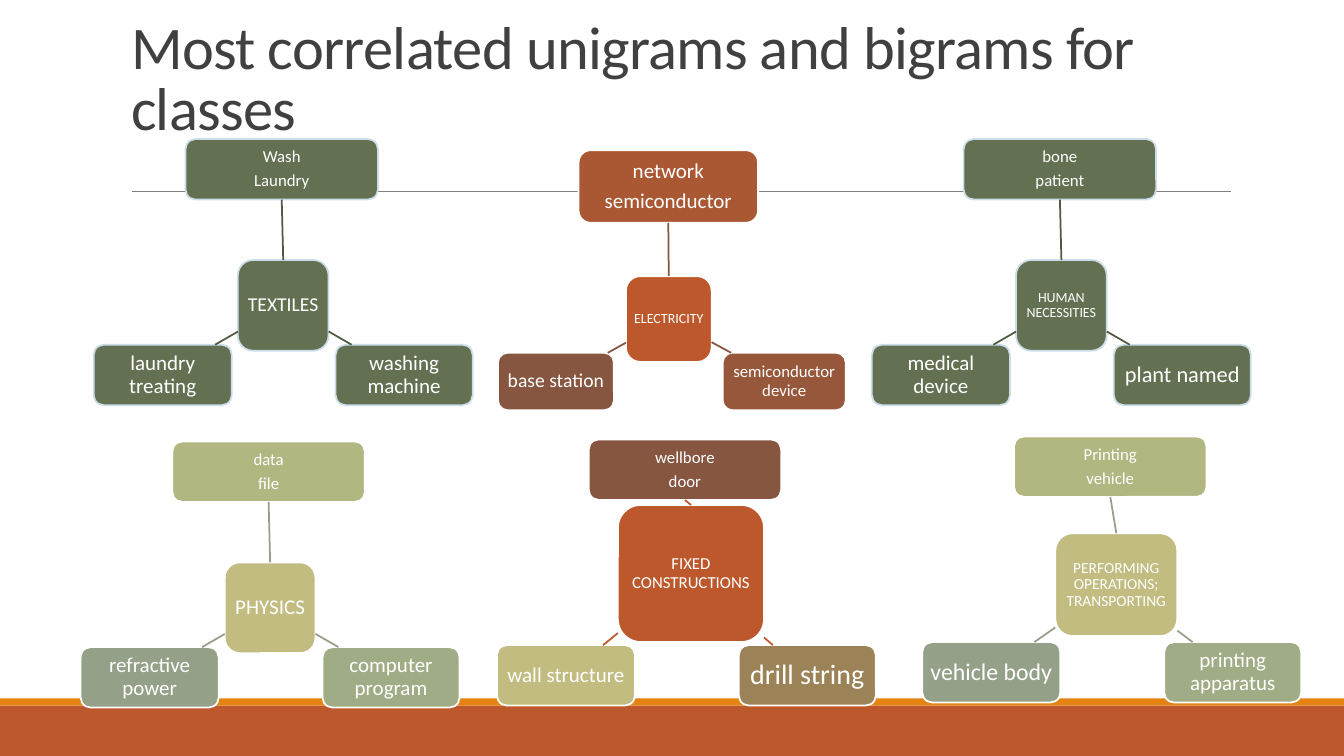
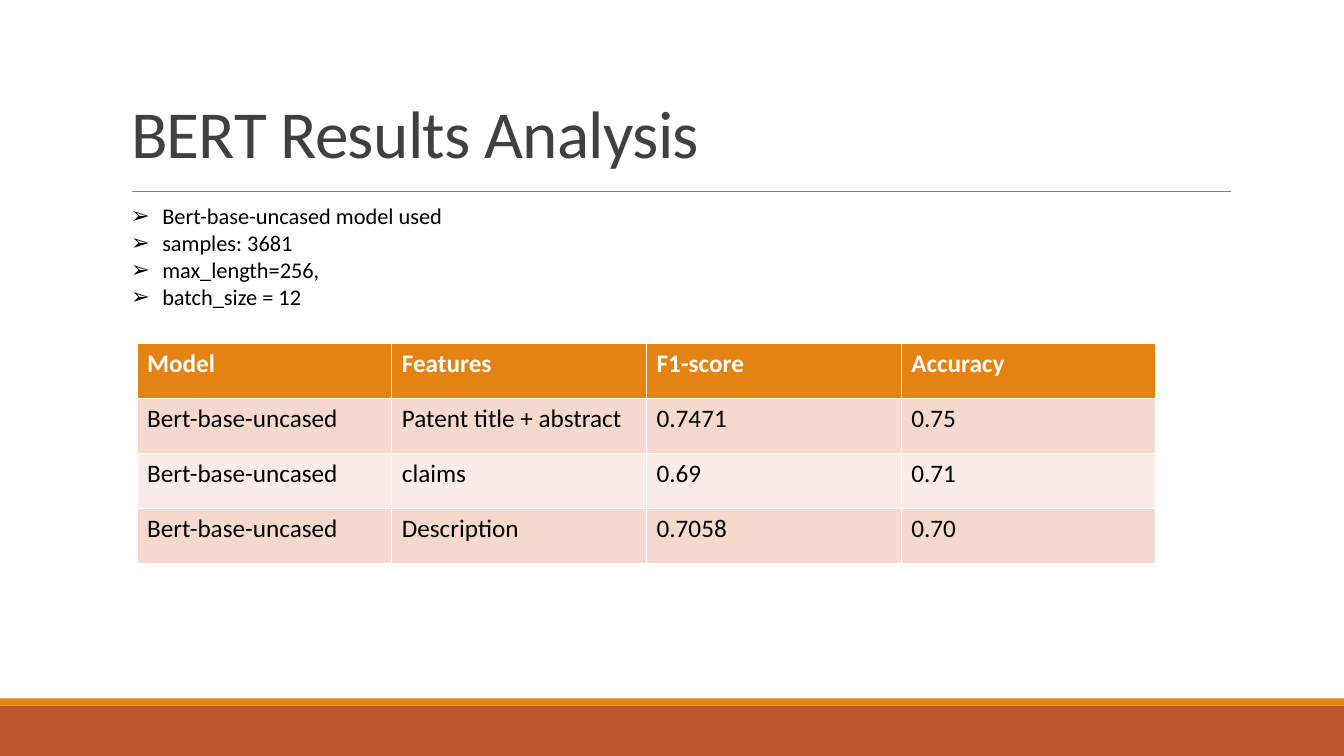
"""Build two slides: class keyword trees and a table of BERT results."""
from lxml.etree import SubElement
from pptx import Presentation
from pptx.dml.color import RGBColor
from pptx.enum.shapes import MSO_CONNECTOR as Link, MSO_SHAPE as Preset
from pptx.enum.text import MSO_ANCHOR as Anchor, MSO_AUTO_SIZE as AutoSize, PP_ALIGN as Align
from pptx.oxml.ns import qn
from pptx.util import Pt

PX = 9144
FONT = "Calibri"
COLORS = {
    "rust": "BD582C", "orange": "E48312", "rule": "808080", "title": "404040",
    "white": "FFFFFF", "black": "000000", "ice": "CCDDEA",
    "moss": "637052", "dark moss": "4F5A42", "brick": "AA5834", "clay": "97573A",
    "brown": "865640", "khaki": "C2BC80", "olive": "B2B782", "fern": "A0AC85",
    "sage": "94A088", "bronze": "9B8357", "peach": "F5D9CC", "blush": "FAEDE7",
}

BANDS = [((0, 700, 1334, 50), "rust"), ((0, 693, 1334, 7), "orange")]
RULE = (131, 190, 1221, 190)

WIDE = {"unigrams": (91, 0, 191, 60), "left": (0, 204, 137, 60), "right": (240, 204, 136, 60)}
SLIM = {"unigrams": (80, 0, 178, 72), "left": (0, 201, 115, 57), "right": (223, 201, 122, 57)}

TREES = [
    {"origin": (93, 138), "frame": WIDE, "class_box": (143, 120, 90, 90),
     "edge": "ice", "branch": "dark moss",
     "class": ("TEXTILES", 14, "moss"), "unigrams": ("Wash\nLaundry", 12, "moss"),
     "left": ("laundry treating", 15, "moss"), "right": ("washing machine", 15, "moss")},
    {"origin": (494, 149), "frame": SLIM, "class_box": (127, 125, 85, 85),
     "edge": "white", "branch": "brown",
     "class": ("ELECTRICITY", 10, "rust"), "unigrams": ("network\nsemiconductor", 15, "brick"),
     "left": ("base station", 14, "brown"), "right": ("semiconductor device", 12, "clay")},
    {"origin": (865, 138), "frame": WIDE, "class_box": (143, 120, 90, 90),
     "edge": "ice", "branch": "dark moss",
     "class": ("HUMAN NECESSITIES", 10, "moss"), "unigrams": ("bone\npatient", 12, "moss"),
     "left": ("medical device", 15, "moss"), "right": ("plant named", 16, "moss")},
    {"origin": (80, 438), "frame": WIDE, "class_box": (143, 120, 90, 90),
     "edge": "white", "branch": "sage",
     "class": ("PHYSICS", 15, "khaki"), "unigrams": ("data\nfile", 12, "olive"),
     "left": ("refractive power", 15, "sage"), "right": ("computer program", 15, "fern")},
    {"origin": (493, 436), "frame": WIDE, "class_box": (120, 65, 145, 136),
     "edge": "white", "branch": "rust",
     "class": ("FIXED CONSTRUCTIONS", 12, "rust"), "unigrams": ("wellbore\ndoor", 12, "brown"),
     "left": ("wall structure", 15, "khaki"), "right": ("drill string", 20, "bronze")},
    {"origin": (915, 433), "frame": WIDE, "class_box": (132, 96, 121, 102),
     "edge": "white", "branch": "sage",
     "class": ("PERFORMING OPERATIONS; TRANSPORTING", 11, "khaki"),
     "unigrams": ("Printing\nvehicle", 12, "olive"),
     "left": ("vehicle body", 17, "sage"), "right": ("printing apparatus", 15, "fern")},
]

SETTINGS = ["Bert-base-uncased model used", "samples: 3681", "max_length=256,", "batch_size = 12"]
RESULTS = [
    ("Model", "Features", "F1-score", "Accuracy"),
    ("Bert-base-uncased", "Patent title + abstract", "0.7471", "0.75"),
    ("Bert-base-uncased", "claims", "0.69", "0.71"),
    ("Bert-base-uncased", "Description", "0.7058", "0.70"),
]
ROW_FILLS = ["orange", "peach", "blush", "peach"]


def emu(lengths):
    return [round(length * PX) for length in lengths]


def rgb(name):
    return RGBColor.from_string(COLORS[name])


def place(shape, box):
    shape.left, shape.top, shape.width, shape.height = emu(box)


def style_font(paragraph, size, color, bold=False):
    for run in paragraph.runs:
        run.font.name, run.font.size, run.font.bold = FONT, Pt(size), bold
        run.font.color.rgb = rgb(color)


def add_block(slide, preset, box, fill, edge=None):
    block = slide.shapes.add_shape(preset, *emu(box))
    block.shadow.inherit = False
    block.fill.solid()
    block.fill.fore_color.rgb = rgb(fill)
    if edge:
        block.line.color.rgb = rgb(edge)
        block.line.width = Pt(1.25)
    else:
        block.line.fill.background()
    return block


def add_line(slide, ends, color, width):
    line = slide.shapes.add_connector(Link.STRAIGHT, *emu(ends))
    line.line.color.rgb = rgb(color)
    line.line.width = Pt(width)
    SubElement(line.element.spPr, qn("a:effectLst"))
    return line


def set_title(slide, wording, height, size):
    title = slide.shapes.title
    place(title, (120, 31, 1100, height))
    frame = title.text_frame
    frame.text = wording
    frame.auto_size, frame.vertical_anchor = AutoSize.NONE, Anchor.BOTTOM
    paragraph = frame.paragraphs[0]
    paragraph.alignment, paragraph.line_spacing = Align.LEFT, 0.85
    style_font(paragraph, size, "title")
    for run in paragraph.runs:
        run.font._element.set("spc", "-50")


def add_node(slide, box, wording, size, fill, edge):
    node = add_block(slide, Preset.ROUNDED_RECTANGLE, box, fill, edge)
    frame = node.text_frame
    frame.text = wording
    frame.word_wrap, frame.vertical_anchor = True, Anchor.MIDDLE
    frame.margin_left = frame.margin_right = frame.margin_top = frame.margin_bottom = 3 * PX
    for paragraph in frame.paragraphs:
        paragraph.alignment, paragraph.line_spacing = Align.CENTER, 0.9
        paragraph.space_after = Pt(0.35 * size)
        style_font(paragraph, size, "white")
    return node


def branch_ends(class_box, leaf_box):
    """Clip the line between two box centres to the class side and the leaf top."""
    (cx, cy), (lx, ly) = [(x + w / 2, y + h / 2) for x, y, w, h in (class_box, leaf_box)]
    slope = (ly - cy) / (lx - cx)
    side = class_box[0] + (class_box[2] if lx > cx else 0)
    top = leaf_box[1]
    return side, cy + (side - cx) * slope, cx + (top - cy) / slope, top


def add_tree(slide, tree):
    left, top = tree["origin"]
    offsets = {"class": tree["class_box"], **tree["frame"]}
    boxes = {part: (left + x, top + y, w, h) for part, (x, y, w, h) in offsets.items()}
    nodes = {part: add_node(slide, box, *tree[part], tree["edge"]) for part, box in boxes.items()}
    stem = add_line(slide, (0, 0, 0, 0), tree["branch"], 1.25)
    stem.begin_connect(nodes["class"], 0)
    stem.end_connect(nodes["unigrams"], 2)
    for part in ("left", "right"):
        add_line(slide, branch_ends(boxes["class"], boxes[part]), tree["branch"], 1.25)


def share_backdrop(master, slide):
    backdrop = [add_block(slide, Preset.RECTANGLE, box, fill) for box, fill in BANDS]
    backdrop.append(add_line(slide, RULE, "rule", 0.5))
    for part in backdrop:
        master.shapes.element.append(part.element)


def fill_settings(body):
    place(body, (120, 196, 1062, 145))
    frame = body.text_frame
    frame.text = "\n".join(SETTINGS)
    frame.auto_size, frame.vertical_anchor = AutoSize.NONE, Anchor.TOP
    for paragraph in frame.paragraphs:
        paragraph.space_before = paragraph.space_after = Pt(0)
        paragraph.line_spacing = 1.0
        style_font(paragraph, 16, "black")
        properties = paragraph._p.get_or_add_pPr()
        properties.set("marL", str(31 * PX))
        properties.set("indent", str(-31 * PX))
        SubElement(properties, qn("a:buChar")).set("char", "➢")


def add_results(slide):
    size = len(RESULTS), len(RESULTS[0])
    table = slide.shapes.add_table(*size, *emu((136, 341, 1011, 218))).table
    for r, (record, fill) in enumerate(zip(RESULTS, ROW_FILLS)):
        for c, entry in enumerate(record):
            cell = table.cell(r, c)
            cell.text = entry
            cell.fill.solid()
            cell.fill.fore_color.rgb = rgb(fill)
            style_font(cell.text_frame.paragraphs[0], 18, "black" if r else "white", r == 0)


def main():
    deck = Presentation()
    deck.slide_width, deck.slide_height = 12192000, 750 * PX

    keywords = deck.slides.add_slide(deck.slide_layouts[5])
    set_title(keywords, "Most correlated unigrams and bigrams for classes", 116, 43.2)
    for tree in TREES:
        add_tree(keywords, tree)
    share_backdrop(deck.slide_master, keywords)

    analysis = deck.slides.add_slide(deck.slide_layouts[1])
    set_title(analysis, "BERT Results Analysis", 145, 48)
    fill_settings(analysis.placeholders[1])
    add_results(analysis)

    deck.save("out.pptx")


if __name__ == "__main__":
    main()
